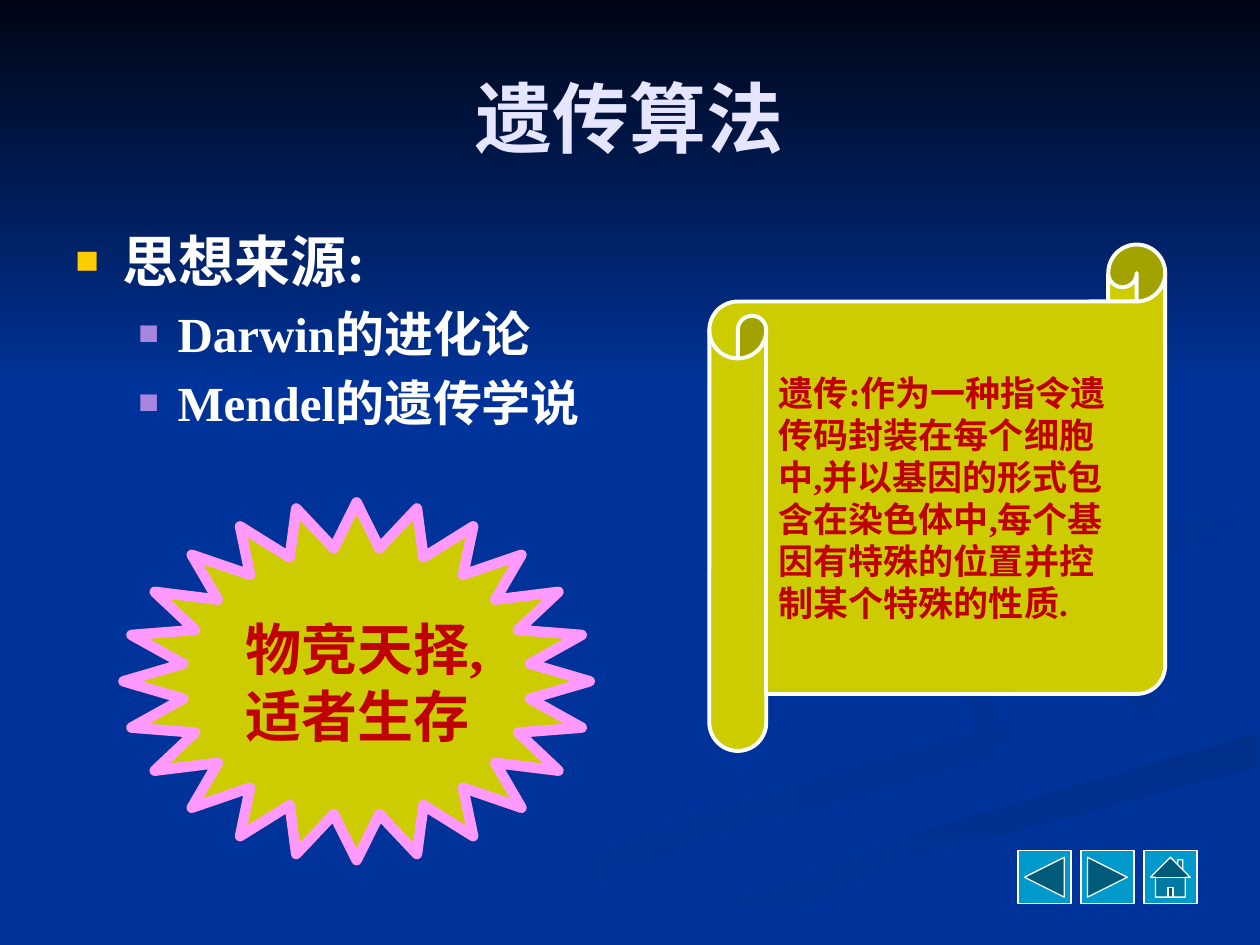
from lxml.etree import SubElement
from pptx import Presentation
from pptx.dml.color import RGBColor
from pptx.enum.shapes import MSO_SHAPE as Shape
from pptx.enum.text import MSO_ANCHOR as Anchor, PP_ALIGN as Align
from pptx.oxml.ns import qn
from pptx.util import Cm, Pt

FONT = "Times New Roman"
COLORS = {
    "blue": "003399", "night": "000514", "deep": "003193", "shade": "002F8C",
    "button": "0099CC", "white": "FFFFFF", "title": "E5E5FF", "olive": "CCCC00",
    "pink": "FF99FF", "red": "C00000", "gold": "FFCC00", "violet": "A886E0",
}

TITLE = [("遗传算法", 44)]
BODY = [
    ("思想来源:", 32, "gold", 0.95, -0.95),
    ("Darwin的进化论", 28, "violet", 2.06, -0.79),
    ("Mendel的遗传学说", 28, "violet", 2.06, -0.79),
]
MOTTO = [("物竞天择,", 32), ("适者生存", 32)]
HEREDITY = [(
    "遗传:作为一种指令遗传码封装在每个细胞中,并以基因的形式包含在染色体中,"
    "每个基因有特殊的位置并控制某个特殊的性质.", 20)]

HUNDREDTH_INCH = Cm(2.54) / 100
SWOOSHES = [
    ("blue", "deep", 0, [
        (781, 553), (575, 459), (762, 547), (780, 579), (539, 649),
        (300, 749), (361, 749), (564, 665), (786, 601), (800, 581)]),
    ("blue", "deep", 315, [
        (943, 570), (888, 535), (758, 498), (724, 464), (755, 505),
        (892, 553), (918, 581), (894, 605), (937, 586)]),
    ("shade", "blue", 270, [
        (503, 749), (571, 749), (722, 682), (998, 609), (998, 581),
        (764, 647), (569, 719)]),
    ("blue", "blue", 0, [
        (725, 464), (920, 547), (902, 603), (663, 668), (477, 749),
        (696, 669), (999, 581), (999, 538), (781, 463), (999, 387)]),
    ("deep", "blue", 315, [
        (781, 460), (826, 496), (805, 472), (998, 420), (998, 402), (821, 434)]),
    ("shade", "blue", 315, [
        (683, 430), (855, 391), (894, 344), (854, 283), (762, 233),
        (889, 335), (842, 378), (597, 437), (577, 462), (622, 500), (594, 465)]),
]

BUTTON_LEFT, BUTTON_STEP = 20.52, 1.27
BUTTONS = [Shape.ACTION_BUTTON_BACK_OR_PREVIOUS,
           Shape.ACTION_BUTTON_FORWARD_OR_NEXT, Shape.ACTION_BUTTON_HOME]


def rgb(name):
    return RGBColor.from_string(COLORS[name])


def blend(shape, start, end, angle):
    shape.shadow.inherit = False
    shape.line.fill.background()
    shape.fill.gradient()
    shape.fill.gradient_angle = angle
    for stop, name, position in zip(shape.fill.gradient_stops, (start, end), (0, 1)):
        stop.color.rgb = rgb(name)
        stop.position = position


def add_filled(page, kind, place, fill, line, width):
    shape = page.shapes.add_shape(kind, *map(Cm, place))
    shape.shadow.inherit = False
    shape.fill.solid()
    shape.fill.fore_color.rgb = rgb(fill)
    shape.line.color.rgb = rgb(line)
    shape.line.width = Pt(width)
    return shape


def write(box, lines, color, align=Align.LEFT, anchor=Anchor.MIDDLE, wrap=True):
    frame = box.text_frame
    for name, value in {"word_wrap": wrap, "vertical_anchor": anchor}.items():
        setattr(frame, name, value)
    for index, (text, size, *_) in enumerate(lines):
        para = frame.paragraphs[0] if index == 0 else frame.add_paragraph()
        para.alignment = align
        span = para.add_run()
        span.text = text
        font = {"name": FONT, "size": Pt(size), "bold": True}
        for name, value in font.items():
            setattr(span.font, name, value)
        span.font.color.rgb = rgb(color)
    return frame.paragraphs


def add_bullet(para, color, margin, indent):
    props = para._p.get_or_add_pPr()
    props.set("marL", str(Cm(margin)))
    props.set("indent", str(Cm(indent)))
    tint = SubElement(props, qn("a:buClr"))
    SubElement(tint, qn("a:srgbClr"), val=COLORS[color])
    SubElement(props, qn("a:buSzPct"), val="70000")
    SubElement(props, qn("a:buFont"), typeface=FONT)
    SubElement(props, qn("a:buChar"), char="■")


def main():
    deck = Presentation()
    deck.slide_width, deck.slide_height = Cm(25.4), Cm(19.05)
    page = deck.slides.add_slide(deck.slide_layouts[6])
    page.background.fill.solid()
    page.background.fill.fore_color.rgb = rgb("blue")

    for start, end, angle, points in SWOOSHES:
        outline = page.shapes.build_freeform(*points[0], scale=HUNDREDTH_INCH)
        outline.add_line_segments(points[1:], close=True)
        blend(outline.convert_to_shape(), start, end, angle)
    band = page.shapes.add_shape(Shape.RECTANGLE, 0, 0, deck.slide_width, Cm(7.82))
    blend(band, "night", "blue", 270)

    for index, kind in enumerate(BUTTONS):
        place = (BUTTON_LEFT + index * BUTTON_STEP, 17.15, 1.07, 1.07)
        add_filled(page, kind, place, "button", "white", 0.75)

    title = page.shapes.add_textbox(*map(Cm, (1.27, 0.76, 22.86, 3.18)))
    write(title, TITLE, "title", align=Align.CENTER)

    body = page.shapes.add_textbox(*map(Cm, (1.27, 4.45, 22.86, 12.57)))
    paras = write(body, BODY, "white", anchor=Anchor.TOP)
    for para, (_, size, color, margin, indent) in zip(paras, BODY):
        para.space_before = Pt(size * 0.2)
        add_bullet(para, color, margin, indent)

    star = add_filled(page, Shape.STAR_24_POINT, (2.49, 10.13, 9.4, 7.21),
                      "olive", "pink", 6)
    star.adjustments[0] = 0.375
    write(star, MOTTO, "red", wrap=False)

    scroll = add_filled(page, Shape.HORIZONTAL_SCROLL, (14.3, 4.93, 9.19, 10.21),
                        "olive", "white", 2.25)
    scroll.adjustments[0] = 0.125
    write(scroll, HEREDITY, "red")

    deck.save("out.pptx")


if __name__ == "__main__":
    main()
